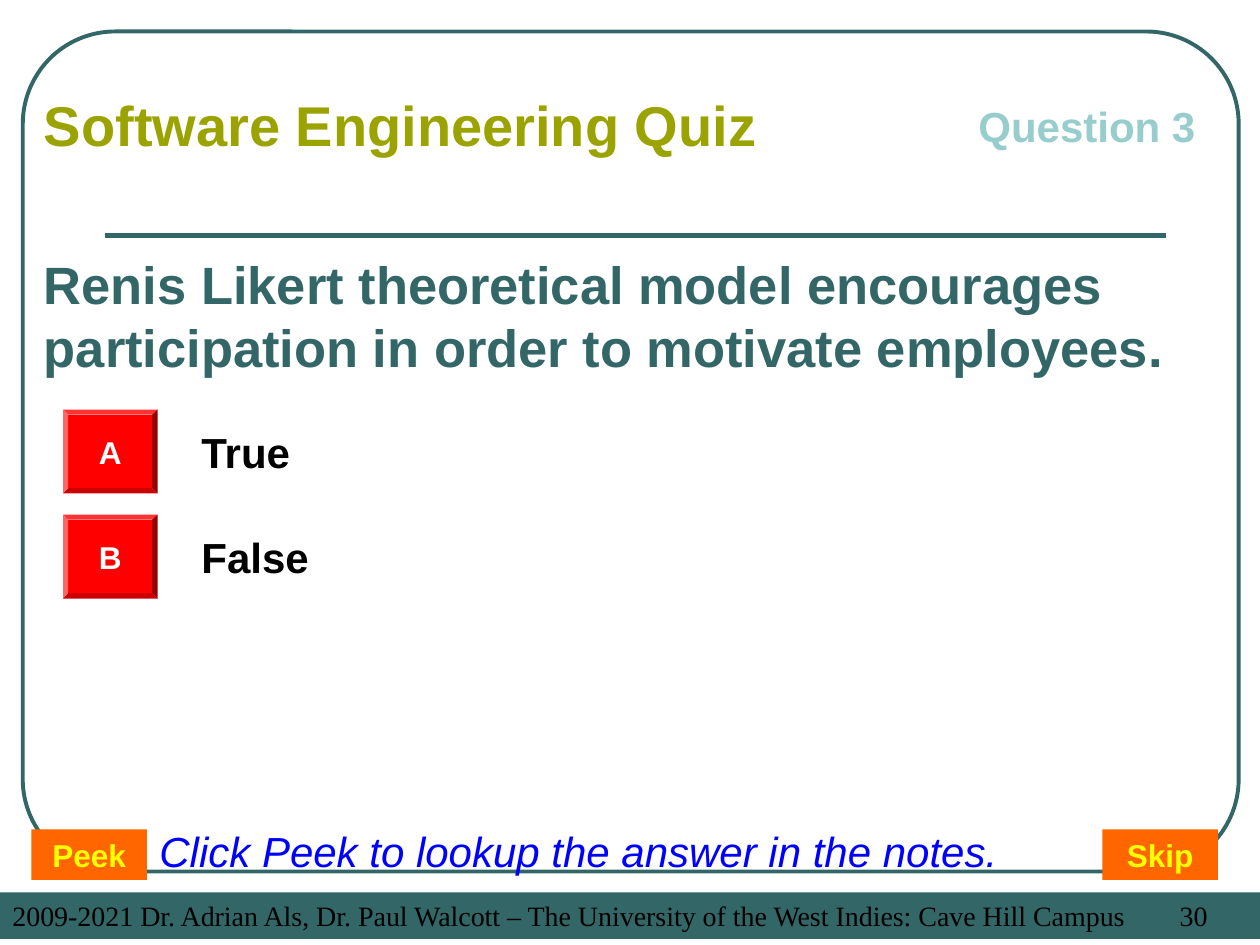
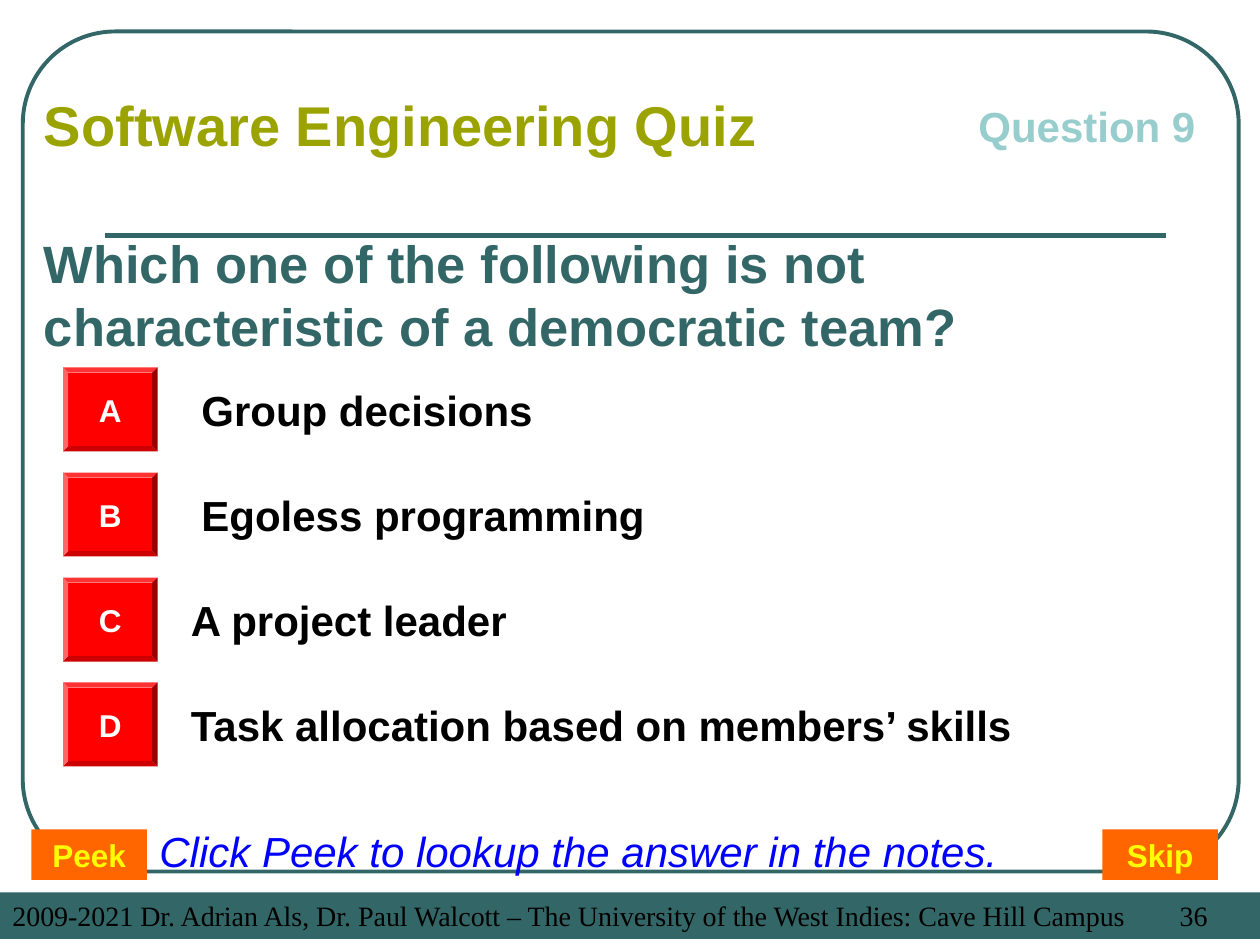
from lxml.etree import SubElement
from pptx import Presentation
from pptx.dml.color import RGBColor
from pptx.enum.shapes import MSO_CONNECTOR, MSO_SHAPE
from pptx.enum.text import MSO_ANCHOR as Anchor, PP_ALIGN as Align
from pptx.oxml.ns import qn
from pptx.util import Pt

COLORS = {
    "teal": "336666", "olive": "9BA301", "mint": "97CDCC", "black": "000000",
    "white": "FFFFFF", "red": "FF0000", "orange": "FF6600",
    "yellow": "FFFF00", "blue": "0000FF",
}
ARIAL = {"name": "Arial", "bold": True}
FORMATS = {
    "quiz": {**ARIAL, "size": Pt(32), "color": "olive"},
    "number": {**ARIAL, "size": Pt(24), "color": "mint"},
    "question": {**ARIAL, "size": Pt(30), "color": "teal"},
    "choice": {**ARIAL, "size": Pt(24), "color": "black"},
    "letter": {**ARIAL, "size": Pt(18), "color": "white"},
    "button": {**ARIAL, "size": Pt(18), "color": "yellow"},
    "hint": {"name": "Arial", "italic": True, "size": Pt(24), "color": "blue"},
    "footer": {"name": "Times New Roman", "size": Pt(16), "color": "black"},
}
FOOTER = ("2009-2021 Dr. Adrian Als, Dr. Paul Walcott – "
          "The University of the West Indies: Cave Hill Campus")
SLIDE_WIDTH, SLIDE_HEIGHT = 720, 540
CHOICE_PITCH = 60

QUESTIONS = [
    {
        "page": 30, "number": 3, "top": 126, "choices_top": 234,
        "text": "Renis Likert theoretical model encourages participation "
                "in order to motivate employees.",
        "choices": [("True", 108), ("False", 108)],
    },
    {
        "page": 36, "number": 9, "top": 114, "choices_top": 210,
        "text": "Which one of the following is not characteristic "
                "of a democratic team?",
        "choices": [("Group decisions", 108), ("Egoless programming", 108),
                    ("A project leader", 102),
                    ("Task allocation based on members’ skills", 102)],
    },
]


def rgb(color):
    return RGBColor.from_string(COLORS[color])


def in_points(box):
    return [Pt(length) for length in box]


def write(shape, text, style, align=Align.LEFT, anchor=Anchor.TOP, wrap=True):
    frame = shape.text_frame
    frame.word_wrap = wrap
    frame.vertical_anchor = anchor
    paragraph = frame.paragraphs[0]
    paragraph.alignment = align
    paragraph.text = text
    font = paragraph.runs[0].font
    for key, value in FORMATS[style].items():
        if key == "color":
            font.color.rgb = rgb(value)
        else:
            setattr(font, key, value)
    return paragraph


def add_text(slide, box, text, style, **layout):
    write(slide.shapes.add_textbox(*in_points(box)), text, style, **layout)


def add_filled(slide, kind, box, color):
    shape = slide.shapes.add_shape(kind, *in_points(box))
    shape.shadow.inherit = False
    shape.fill.solid()
    shape.fill.fore_color.rgb = rgb(color)
    shape.line.fill.background()
    return shape


def add_frame(slide, box):
    """Draw the rounded border and the rule below the heading."""
    left, top, width, height = box
    border = slide.shapes.add_shape(MSO_SHAPE.ROUNDED_RECTANGLE, *in_points(box))
    border.adjustments[0] = 0.11
    border.shadow.inherit = False
    border.fill.background()
    rule_y = top + 116.6
    rule = slide.shapes.add_connector(
        MSO_CONNECTOR.STRAIGHT,
        *in_points((left + 47, rule_y, left + width - 41.8, rule_y)))
    SubElement(rule._element.spPr, qn("a:effectLst"))
    for shape, line_width in ((border, 2.25), (rule, 3)):
        shape.line.color.rgb = rgb("teal")
        shape.line.width = Pt(line_width)


def add_footer(slide, box, page):
    band = add_filled(slide, MSO_SHAPE.RECTANGLE, box, "teal")
    paragraph = write(band, f"{FOOTER}\t{page}", "footer")
    tabs = SubElement(paragraph._p.get_or_add_pPr(), qn("a:tabLst"))
    SubElement(tabs, qn("a:tab"), pos=str(Pt(667)), algn="l")


def add_heading(slide, box, number):
    left, top, width, height = box
    add_text(slide, (left, top, 468, height), "Software Engineering Quiz", "quiz")
    add_text(slide, (left + width - 168, top + 6, 168, 36),
             f"Question {number}", "number")


def add_choices(slide, box, choices):
    """Stack the lettered bevels, each with its answer to the right."""
    left, top, width = box
    for index, (answer, answer_left) in enumerate(choices):
        y = top + index * CHOICE_PITCH
        bevel = add_filled(slide, MSO_SHAPE.BEVEL, (left, y, 54, 48), "red")
        bevel.adjustments[0] = 0.0625
        write(bevel, "ABCD"[index], "letter", align=Align.CENTER,
              anchor=Anchor.MIDDLE, wrap=False)
        add_text(slide, (answer_left, y + 6, left + width - answer_left, 36),
                 answer, "choice")


def add_navigation(slide, box):
    left, top, width, height = box
    button_width = 66
    for label, x in (("Peek", left), ("Skip", left + width - button_width)):
        button = add_filled(slide, MSO_SHAPE.RECTANGLE,
                            (x, top, button_width, height), "orange")
        write(button, label, "button", align=Align.CENTER)
    add_text(slide, (left + button_width, top - 6, 516, 36),
             "Click Peek to lookup the answer in the notes.", "hint")


def add_question_slide(presentation, question):
    slide = presentation.slides.add_slide(presentation.slide_layouts[6])
    add_frame(slide, (13, 18, 694.8, 480))
    add_footer(slide, (0, 510, SLIDE_WIDTH, 26.6), question["page"])
    add_heading(slide, (18, 48, 702, 46), question["number"])
    add_text(slide, (18, question["top"], 684, 108), question["text"],
             "question", anchor=Anchor.MIDDLE)
    add_choices(slide, (36, question["choices_top"], 660), question["choices"])
    add_navigation(slide, (18, 474, 678, 28.8))


def main():
    presentation = Presentation()
    presentation.slide_width = Pt(SLIDE_WIDTH)
    presentation.slide_height = Pt(SLIDE_HEIGHT)
    for question in QUESTIONS:
        add_question_slide(presentation, question)
    presentation.save("out.pptx")


if __name__ == "__main__":
    main()
